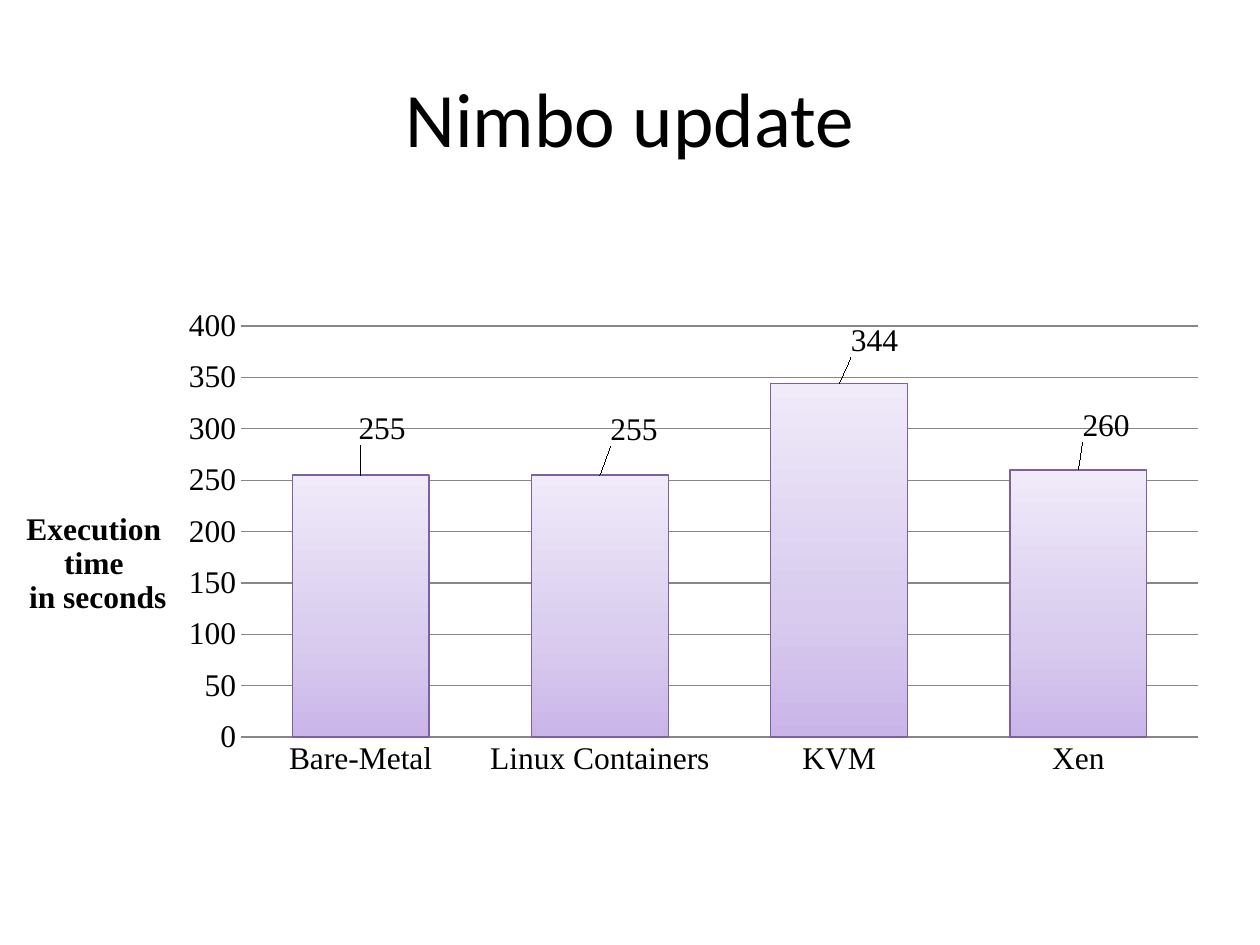
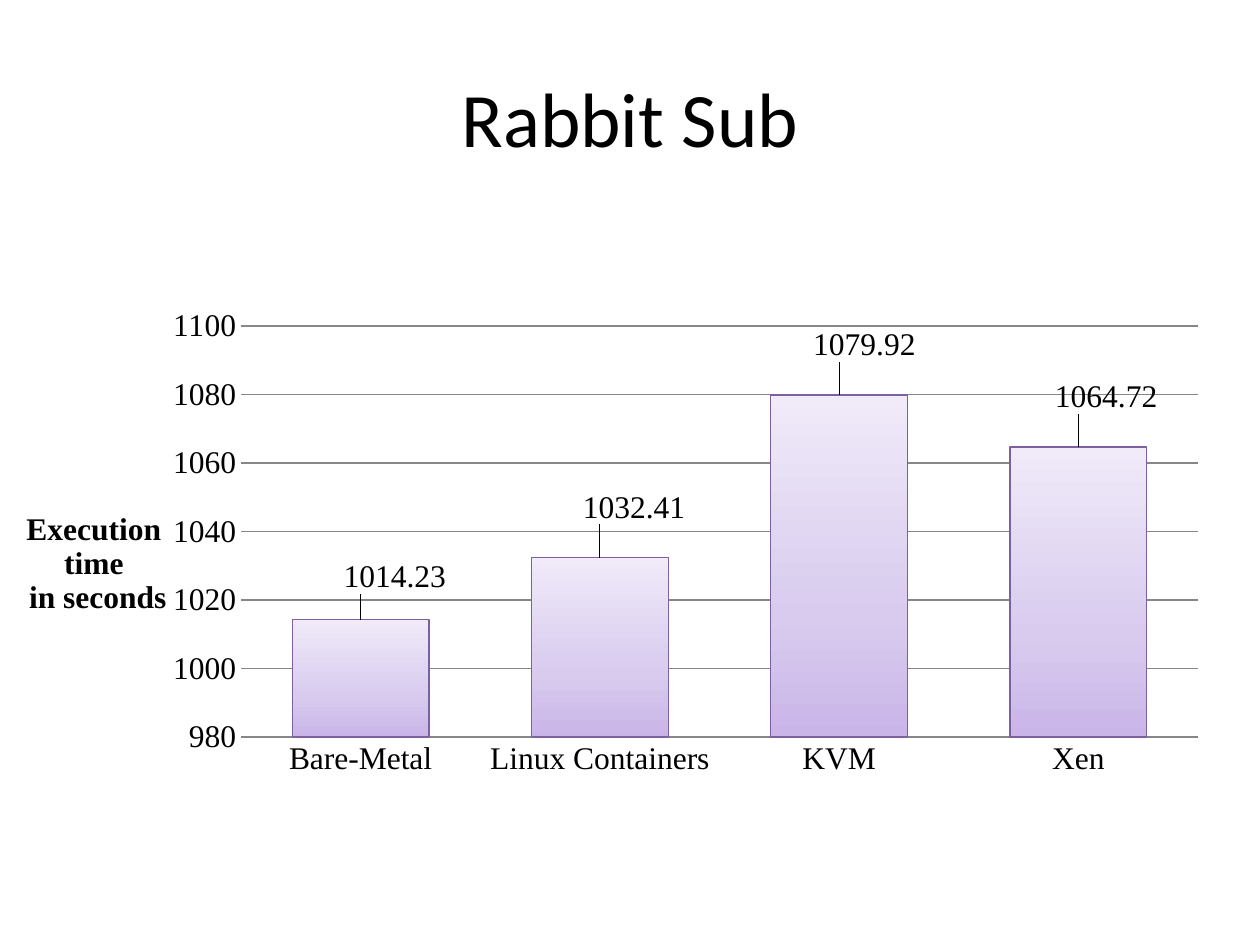
from lxml import etree
from pptx import Presentation
from pptx.chart.data import CategoryChartData
from pptx.dml.color import RGBColor
from pptx.enum.chart import XL_CHART_TYPE as ChartType, XL_LABEL_POSITION as LabelPosition
from pptx.enum.chart import XL_TICK_MARK as TickMark
from pptx.enum.text import MSO_ANCHOR, PP_ALIGN
from pptx.oxml import parse_xml
from pptx.oxml.ns import nsdecls, qn
from pptx.util import Inches, Pt

COLORS = {"text": "000000", "grid": "878787", "bar_line": "7D60A0",
          "bar_bottom": "C9B5E8", "bar_middle": "D8CBEE", "bar_top": "F0EAF9"}
BAR_STOPS = [(0, "bar_bottom"), (35, "bar_middle"), (100, "bar_top")]
TITLE_FONT, CHART_FONT = "Calibri", "Times New Roman"

PLATFORMS = ["Bare-Metal", "Linux Containers", "KVM", "Xen"]
AXIS_TITLE = ["Execution ", "time ", "in seconds"]
# label_shifts: each value label's move from its default place, as parts of the chart size
BENCHMARKS = [
    {"title": "Nimbo update", "times": [255, 255, 344, 260], "scale": (0, 400, 50),
     "label_shifts": [(0.017, -0.035), (0.027, -0.034), (0.028, -0.03), (0.022, -0.032)]},
    {"title": "Rabbit Sub", "times": [1014.23, 1032.41, 1079.92, 1064.72],
     "scale": (980, 1100, 20),
     "label_shifts": [(0.027, -0.03), (0.027, -0.04), (0.02, -0.04), (0.022, -0.04)]},
]

TITLE_BOX = [Inches(n) for n in (0.5, 0.3, 9, 1.25)]
CHART_BOX = [Inches(n) for n in (-0.02, 1.79, 10.02, 5.51)]
PLOT_LAYOUT = {"layoutTarget": "inner", "xMode": "edge", "yMode": "edge",
               "x": 0.193, "y": 0.145, "w": 0.758, "h": 0.592}
AXIS_TITLE_LAYOUT = {"xMode": "edge", "yMode": "edge", "x": 0.02, "y": 0.405}


def color(name):
    return RGBColor.from_string(COLORS[name])


def set_layout(parent, index, settings):
    """Give a chart part a manual layout as its child number index."""
    for old in parent.findall(qn("c:layout")):
        parent.remove(old)
    layout = etree.Element(qn("c:layout"))
    manual = etree.SubElement(layout, qn("c:manualLayout"))
    for name, value in settings.items():
        etree.SubElement(manual, qn(f"c:{name}")).set("val", str(value))
    parent.insert(index, layout)


def style_line(line, name):
    line.color.rgb = color(name)
    line.width = Pt(0.75)


def add_title(slide, text):
    title = slide.shapes.title
    title.left, title.top, title.width, title.height = TITLE_BOX
    frame = title.text_frame
    frame.text = text
    frame.vertical_anchor = MSO_ANCHOR.MIDDLE
    paragraph = frame.paragraphs[0]
    paragraph.alignment = PP_ALIGN.CENTER
    font = paragraph.runs[0].font
    font.name, font.size = TITLE_FONT, Pt(44)
    font.color.rgb = color("text")


def style_axes(chart, scale):
    category_axis, value_axis = chart.category_axis, chart.value_axis
    for axis in (category_axis, value_axis):
        axis.major_tick_mark = axis.minor_tick_mark = TickMark.NONE
    style_line(category_axis.format.line, "grid")
    value_axis.format.line.fill.background()
    value_axis.minimum_scale, value_axis.maximum_scale, value_axis.major_unit = scale
    value_axis.has_major_gridlines = True
    style_line(value_axis.major_gridlines.format.line, "grid")

    frame = value_axis.axis_title.text_frame
    frame.text = "\n".join(AXIS_TITLE)
    for paragraph in frame.paragraphs:
        paragraph.alignment = PP_ALIGN.CENTER
        font = paragraph.runs[0].font
        font.name, font.size, font.bold = CHART_FONT, Pt(18), True
        font.color.rgb = color("text")
    title = chart.element.xpath("//c:valAx/c:title")[0]
    body = title.find(".//" + qn("a:bodyPr"))
    body.set("rot", "0")
    body.set("vert", "horz")
    set_layout(title, 1, AXIS_TITLE_LAYOUT)


def style_bars(chart, label_shifts):
    plot = chart.plots[0]
    plot.gap_width = 75
    plot.vary_by_categories = False
    series = plot.series[0]
    series.invert_if_negative = False
    style_line(series.format.line, "bar_line")
    stops = "".join(f'<a:gs pos="{position * 1000}"><a:srgbClr val="{COLORS[name]}"/></a:gs>'
                    for position, name in BAR_STOPS)
    gradient = parse_xml(f'<a:gradFill {nsdecls("a")} rotWithShape="1"><a:gsLst>{stops}</a:gsLst>'
                         '<a:lin ang="16200000" scaled="1"/></a:gradFill>')
    chart.element.xpath("//c:ser/c:spPr")[0].insert(0, gradient)

    series.data_labels.show_value = True
    series.data_labels.position = LabelPosition.OUTSIDE_END
    for index in range(len(label_shifts)):
        series.points[index].data_label.position = LabelPosition.OUTSIDE_END
    for label, (x, y) in zip(chart.element.xpath("//c:dLbl"), label_shifts):
        set_layout(label, 1, {"x": x, "y": y})


def add_benchmark_chart(slide, benchmark):
    data = CategoryChartData()
    data.categories = PLATFORMS
    data.add_series("Series 1", benchmark["times"])
    chart = slide.shapes.add_chart(ChartType.COLUMN_CLUSTERED, *CHART_BOX, data).chart
    chart.has_legend = chart.has_title = False
    chart.font.name, chart.font.size = CHART_FONT, Pt(18)
    chart.font.color.rgb = color("text")
    set_layout(chart.element.xpath("//c:plotArea")[0], 0, PLOT_LAYOUT)
    style_axes(chart, benchmark["scale"])
    style_bars(chart, benchmark["label_shifts"])


def main():
    presentation = Presentation()
    presentation.slide_width, presentation.slide_height = Inches(10), Inches(7.5)
    title_only = presentation.slide_layouts[5]
    for benchmark in BENCHMARKS:
        slide = presentation.slides.add_slide(title_only)
        add_title(slide, benchmark["title"])
        add_benchmark_chart(slide, benchmark)
    presentation.save("out.pptx")


if __name__ == "__main__":
    main()
